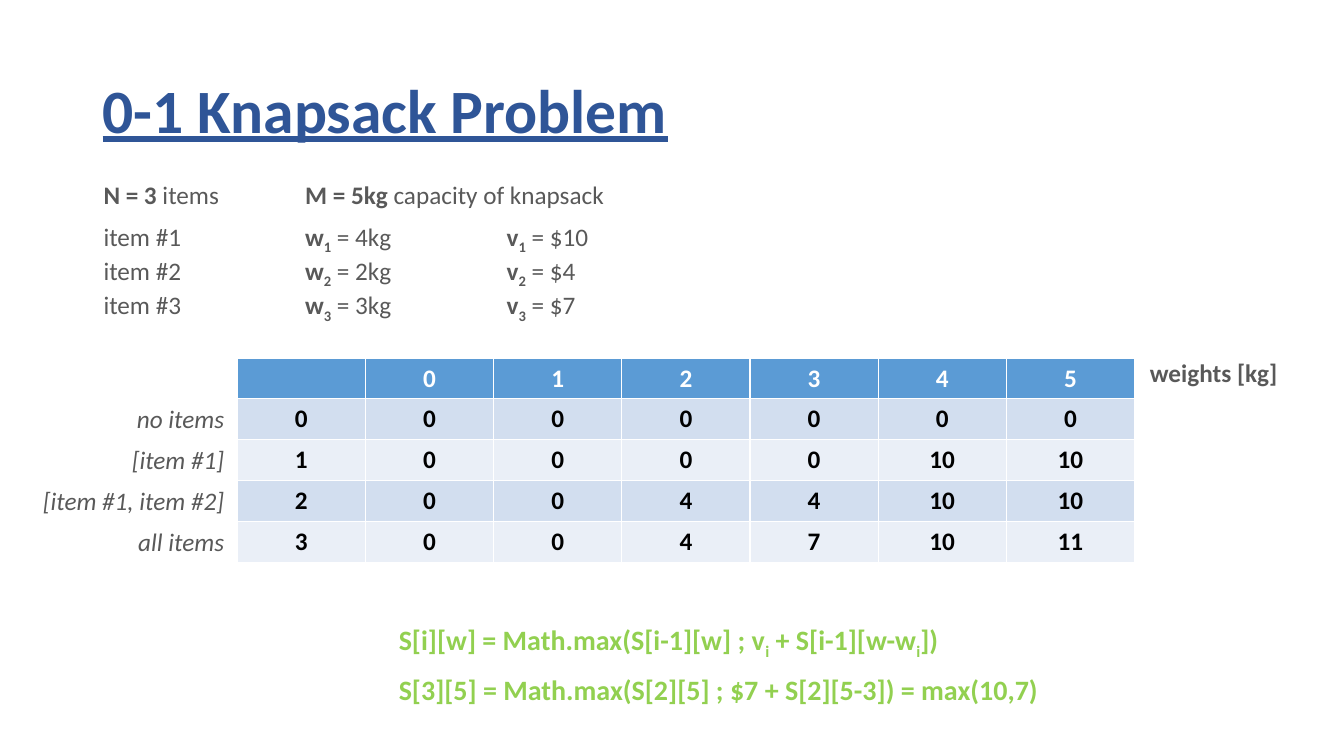
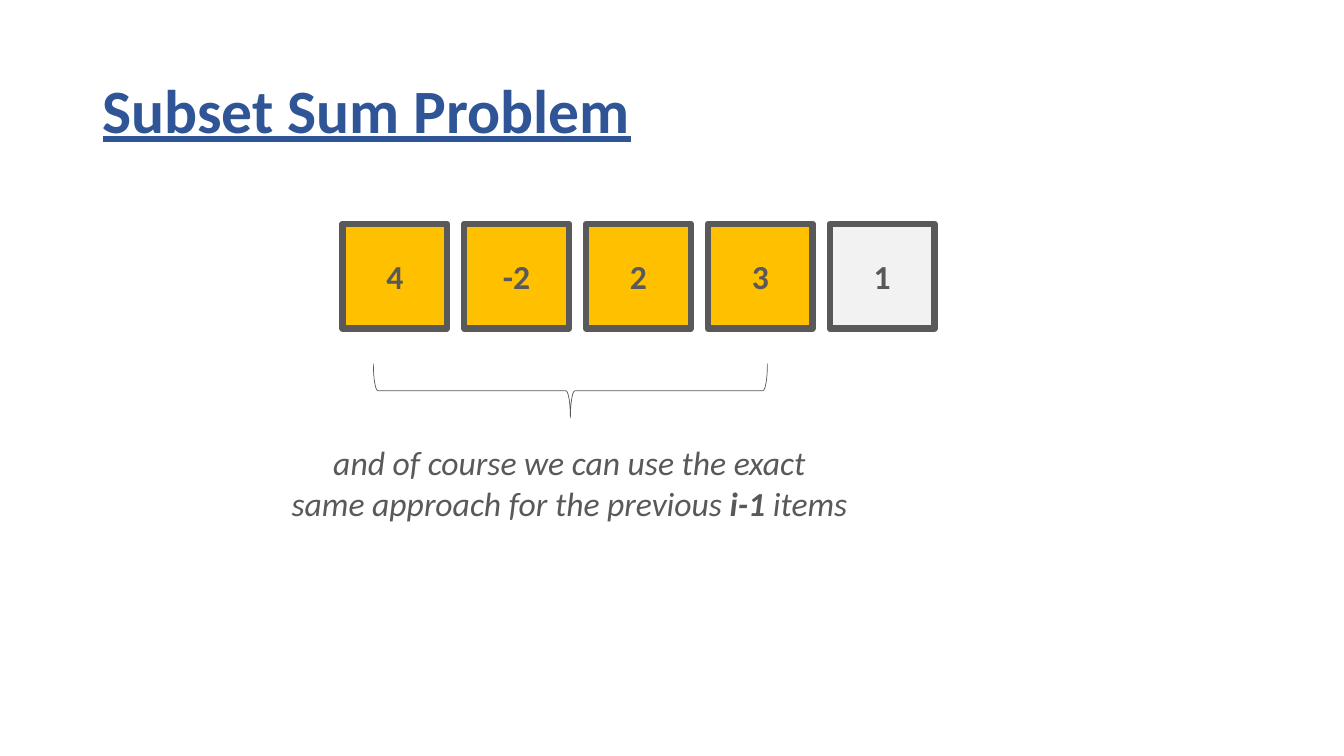
from dataclasses import dataclass

from lxml.etree import SubElement
from pptx import Presentation
from pptx.dml.color import RGBColor
from pptx.enum.shapes import MSO_SHAPE
from pptx.enum.text import MSO_ANCHOR, MSO_AUTO_SIZE, PP_ALIGN
from pptx.oxml.ns import qn
from pptx.util import Cm, Pt


@dataclass(frozen=True)
class Theme:
    font: str = "Calibri"
    # Colours
    title: str = "2F5597"
    ink: str = "595959"
    code: str = "92D050"
    white: str = "FFFFFF"
    black: str = "000000"
    head: str = "5B9BD5"
    bands: tuple = ("D2DEEF", "EAEFF7")
    gold: str = "FFC000"
    pale: str = "F2F2F2"
    # Type sizes
    big: int = 44
    large: int = 24
    mid: int = 20
    body: int = 18


THEME = Theme()
LEFT, MID, RIGHT = PP_ALIGN.LEFT, PP_ALIGN.CENTER, PP_ALIGN.RIGHT


def rgb(code):
    return RGBColor.from_string(code)


# Text: each line is a string or a list of (text, style) runs,
# where style holds "b" for bold and "s" for subscript
def write(frame, lines, size=THEME.body, color=THEME.ink, bold=False,
          italic=False, under=False, align=LEFT, anchor=MSO_ANCHOR.TOP,
          space=None, tabs=()):
    frame.word_wrap = True
    frame.vertical_anchor = anchor
    for i, line in enumerate(lines):
        para = frame.paragraphs[0] if i == 0 else frame.add_paragraph()
        para.alignment = align
        if space:
            para.line_spacing = space
        if tabs:
            stops = SubElement(para._p.get_or_add_pPr(), qn("a:tabLst"))
            for stop in tabs:
                SubElement(stops, qn("a:tab"), pos=str(Cm(stop)), algn="l")
        for text, style in [(line, "")] if isinstance(line, str) else line:
            run = para.add_run()
            run.text = text
            font = run.font
            font.name, font.size = THEME.font, Pt(size)
            font.color.rgb = rgb(color)
            font.bold = bold or "b" in style
            font.italic, font.underline = italic, under
            if "s" in style:
                run._r.get_or_add_rPr().set("baseline", "-25000")


def label(slide, x, y, w, h, lines, **form):
    box = slide.shapes.add_textbox(Cm(x), Cm(y), Cm(w), Cm(h))
    write(box.text_frame, lines, **form)


def shape(slide, kind, x, y, w, h, fill, line):
    item = slide.shapes.add_shape(kind, Cm(x), Cm(y), Cm(w), Cm(h))
    item.shadow.inherit = False
    if fill:
        item.fill.solid()
        item.fill.fore_color.rgb = rgb(fill)
    else:
        item.fill.background()
    item.line.color.rgb = rgb(THEME.ink)
    item.line.width = Pt(line)
    return item


def start(deck, text):
    slide = deck.slides.add_slide(deck.slide_layouts[5])
    title = slide.shapes.title
    title.left, title.top = Cm(2.33), Cm(1.01)
    title.width, title.height = Cm(29.21), Cm(3.68)
    title.text_frame.auto_size = MSO_AUTO_SIZE.NONE
    write(title.text_frame, [text], size=THEME.big, color=THEME.title,
          bold=True, under=True, anchor=MSO_ANCHOR.MIDDLE, space=0.9)
    return slide


def grid(slide, x, y, wide, high, rows):
    table = slide.shapes.add_table(
        len(rows), len(rows[0]), Cm(x), Cm(y),
        Cm(wide * len(rows[0])), Cm(high * len(rows))).table
    for col in table.columns:
        col.width = Cm(wide)
    for r, row in enumerate(rows):
        table.rows[r].height = Cm(high)
        for c, value in enumerate(row):
            cell = table.cell(r, c)
            cell.fill.solid()
            fill = THEME.bands[(r - 1) % 2] if r else THEME.head
            cell.fill.fore_color.rgb = rgb(fill)
            write(cell.text_frame, [str(value)], bold=True, align=MID,
                  color=THEME.black if r else THEME.white)


def knapsack(deck):
    slide = start(deck, "0-1 Knapsack Problem")

    # Problem data
    tabs = (5.08, 10.16)
    label(slide, 2.36, 4.39, 14, 1.02, [
        [("N = 3", "b"), (" items\t", ""), ("M = 5kg", "b"),
         (" capacity of knapsack", "")]], tabs=tabs)
    goods = [(4, 10), (2, 4), (3, 7)]
    label(slide, 2.36, 5.44, 14, 2.57, [
        [(f"item #{n}\t", ""),
         ("w", "b"), (str(n), "bs"), (f" = {mass}kg\t", ""),
         ("v", "b"), (str(n), "bs"), (f" = ${price}", "")]
        for n, (mass, price) in enumerate(goods, 1)], tabs=tabs)

    # Table of best values, with labels for its rows and columns
    top, high = 9.02, 1.03
    grid(slide, 5.98, top, 3.23, high, [
        ["", 0, 1, 2, 3, 4, 5],
        [0, 0, 0, 0, 0, 0, 0],
        [1, 0, 0, 0, 0, 10, 10],
        [2, 0, 0, 4, 4, 10, 10],
        [3, 0, 0, 4, 7, 10, 11]])
    label(slide, 28.73, 8.87, 4.2, 1.02, ["weights [kg]"], bold=True)
    names = ["no items", "[item #1]", "[item #1, item #2]", "all items"]
    for n, name in enumerate(names, 1):
        label(slide, 0.5, top + n * high, 5.4, 1.02, [name],
              italic=True, align=RIGHT)

    # Recurrence and worked step
    rules = [
        [("S[i][w] = Math.max(S[i-1][w] ; v", ""), ("i", "s"),
         (" + S[i-1][w-w", ""), ("i", "s"), ("])", "")],
        "S[3][5] = Math.max(S[2][5] ; $7 + S[2][5-3]) = max(10,7)"]
    for n, rule in enumerate(rules):
        label(slide, 9.8, 15.57 + n * 1.25, 18, 1.1, [rule],
              size=THEME.mid, color=THEME.code, bold=True)


def subset(deck):
    slide = start(deck, "Subset Sum Problem")

    # Row of numbers, the last one set apart
    values = [4, -2, 2, 3, 1]
    for n, value in enumerate(values):
        fill = THEME.gold if n < len(values) - 1 else THEME.pale
        box = shape(slide, MSO_SHAPE.RECTANGLE, 8.63 + n * 3.07, 5.64,
                    2.64, 2.64, fill, 4.5)
        write(box.text_frame, [str(value)], size=THEME.large, bold=True,
              align=MID, anchor=MSO_ANCHOR.MIDDLE)

    # Remark under the brace
    label(slide, 6.6, 11.02, 15.5, 2.4, [
        "and of course we can use the exact",
        [("same approach for the previous ", ""), ("i-1", "b"),
         (" items", "")]], size=THEME.large, italic=True, align=MID)
    brace = shape(slide, MSO_SHAPE.LEFT_BRACE, 13.69, 4.88, 1.37, 9.93,
                  None, 0.5)
    brace.rotation = 270


def main():
    deck = Presentation()
    deck.slide_width, deck.slide_height = Cm(33.87), Cm(19.05)
    knapsack(deck)
    subset(deck)
    deck.save("out.pptx")


if __name__ == "__main__":
    main()
